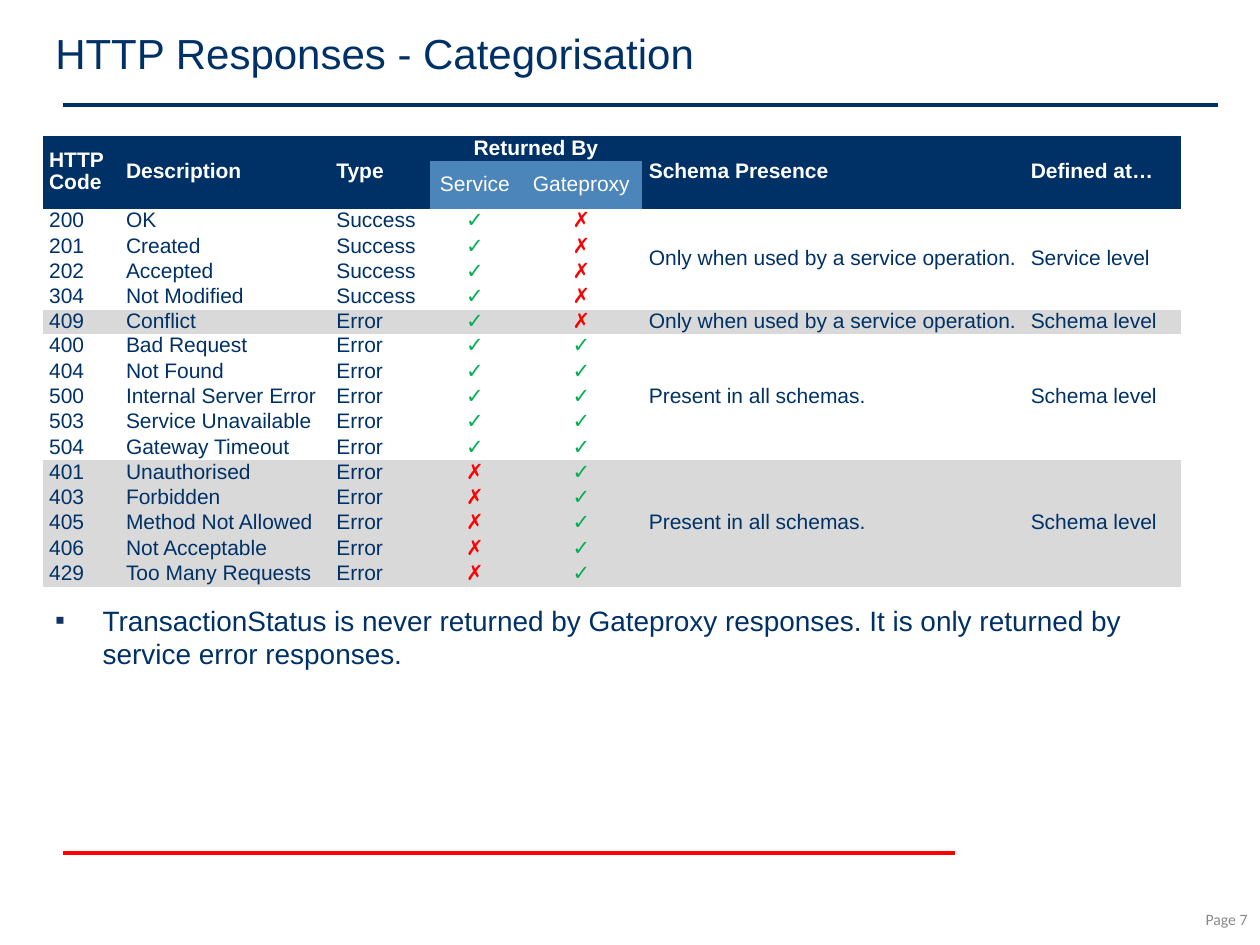
from dataclasses import dataclass

from pptx import Presentation
from pptx.dml.color import RGBColor
from pptx.enum.shapes import MSO_CONNECTOR
from pptx.enum.text import MSO_ANCHOR, PP_ALIGN
from pptx.oxml.ns import qn
from pptx.util import Cm, Pt
from lxml import etree

LEFT, CENTER, RIGHT = PP_ALIGN.LEFT, PP_ALIGN.CENTER, PP_ALIGN.RIGHT
TOP, MIDDLE = MSO_ANCHOR.TOP, MSO_ANCHOR.MIDDLE
STRAIGHT = MSO_CONNECTOR.STRAIGHT
TITLE_ONLY = 5
PLAIN_TABLE_STYLE = "{2D5ABB26-0587-4C30-8999-92F81FD0307C}"
YES, NO = "✓", "✗"


@dataclass(frozen=True)
class Theme:
    font: str = "Arial"
    footer_font: str = "Calibri"
    navy: str = "003166"
    blue: str = "4C85B9"
    white: str = "FFFFFF"
    grey: str = "D9D9D9"
    footer_grey: str = "898989"
    rule_red: str = "FE0000"
    yes_green: str = "00B050"
    no_red: str = "FF0000"
    bullet: str = "113362"
    title_size: float = 24
    body_size: float = 16
    table_size: float = 12
    footer_size: float = 9
    rule_width: float = 2.25
    table_line_spacing: float = 0.94


# Each group: fill, returned by service, returned by gateway, kind, presence, level, responses
SUCCESS, ERROR = "Success", "Error"
WHEN_USED = "Only when used by a service operation."
ALWAYS = "Present in all schemas."
GROUPS = [
    ("white", YES, NO, SUCCESS, WHEN_USED, "Service level",
     [("200", "OK"), ("201", "Created"), ("202", "Accepted"), ("304", "Not Modified")]),
    ("grey", YES, NO, ERROR, WHEN_USED, "Schema level", [("409", "Conflict")]),
    ("white", YES, YES, ERROR, ALWAYS, "Schema level",
     [("400", "Bad Request"), ("404", "Not Found"), ("500", "Internal Server Error"),
      ("503", "Service Unavailable"), ("504", "Gateway Timeout")]),
    ("grey", NO, YES, ERROR, ALWAYS, "Schema level",
     [("401", "Unauthorised"), ("403", "Forbidden"), ("405", "Method Not Allowed"),
      ("406", "Not Acceptable"), ("429", "Too Many Requests")]),
]
HEADINGS = ["HTTP Code", "Description", "Type", "Returned By", "",
            "Schema Presence", "Defined at…"]
RETURNERS = {3: "Service", 4: "Gateproxy"}
COLUMN_WIDTHS = [1.55, 4.24, 2.01, 1.83, 2.46, 7.7, 3.15]
ROW_HEIGHT, SINGLE_ROW_HEIGHT = 0.51, 0.41
HEADER_ROWS = 2


class SlideBuilder:
    def __init__(self, slide, theme):
        self.slide = slide
        self.theme = theme

    def format_paragraph(self, paragraph, size, color, align=LEFT, bold=False, font=None):
        paragraph.alignment = align
        paragraph.font.name = font or self.theme.font
        paragraph.font.size = Pt(size)
        paragraph.font.bold = bold
        paragraph.font.color.rgb = RGBColor.from_string(color)

    def title(self, text, left, top, width, height):
        title = self.slide.shapes.title
        title.left, title.top, title.width, title.height = map(Cm, (left, top, width, height))
        title.text_frame.text = text
        title.text_frame.vertical_anchor = TOP
        self.format_paragraph(title.text_frame.paragraphs[0],
                              self.theme.title_size, self.theme.navy)

    def rule(self, left, right, y, color):
        line = self.slide.shapes.add_connector(STRAIGHT, Cm(left), Cm(y), Cm(right), Cm(y))
        line.line.color.rgb = RGBColor.from_string(color)
        line.line.width = Pt(self.theme.rule_width)
        etree.SubElement(line._element.spPr, qn("a:effectLst"))

    def text_box(self, text, left, top, width, height, anchor=TOP):
        """Add a wrapping text box and return its only paragraph."""
        frame = self.slide.shapes.add_textbox(*map(Cm, (left, top, width, height))).text_frame
        frame.word_wrap = True
        frame.vertical_anchor = anchor
        frame.text = text
        return frame.paragraphs[0]

    def page_number(self, text, *box):
        paragraph = self.text_box(text, *box, anchor=MIDDLE)
        self.format_paragraph(paragraph, self.theme.footer_size, self.theme.footer_grey,
                              RIGHT, font=self.theme.footer_font)

    def bullet(self, text, *box):
        paragraph = self.text_box(text, *box)
        self.format_paragraph(paragraph, self.theme.body_size, self.theme.navy)
        paragraph.space_before = Pt(0.2 * self.theme.body_size)
        properties = paragraph._p.get_or_add_pPr()
        properties.set("marL", str(Cm(0.96)))
        properties.set("indent", str(-Cm(0.96)))
        color = etree.Element(qn("a:buClr"))
        etree.SubElement(color, qn("a:srgbClr"), val=self.theme.bullet)
        font = etree.Element(qn("a:buFont"), typeface=self.theme.font)
        mark = etree.Element(qn("a:buChar"), char="▪")
        defaults = properties.find(qn("a:defRPr"))
        for part in (color, font, mark):
            defaults.addprevious(part)

    def cell(self, cell, text, fill, color, align=LEFT, bold=False):
        cell.fill.solid()
        cell.fill.fore_color.rgb = RGBColor.from_string(fill)
        cell.margin_left = cell.margin_right = Cm(0.13)
        cell.margin_top = cell.margin_bottom = 0
        cell.vertical_anchor = MIDDLE
        cell.text = text
        paragraph = cell.text_frame.paragraphs[0]
        paragraph.line_spacing = self.theme.table_line_spacing
        self.format_paragraph(paragraph, self.theme.table_size, color, align, bold)

    def response_table(self, left, top):
        theme = self.theme
        row_count = HEADER_ROWS + sum(len(group[-1]) for group in GROUPS)
        table = self.slide.shapes.add_table(
            row_count, len(COLUMN_WIDTHS), Cm(left), Cm(top),
            Cm(sum(COLUMN_WIDTHS)), Cm(row_count * ROW_HEIGHT)).table
        table._tbl.tblPr.find(qn("a:tableStyleId")).text = PLAIN_TABLE_STYLE
        table.horz_banding = False
        for column, width in zip(table.columns, COLUMN_WIDTHS):
            column.width = Cm(width)
        for row in table.rows:
            row.height = Cm(ROW_HEIGHT)

        for column, heading in enumerate(HEADINGS):
            align = CENTER if column in RETURNERS else LEFT
            self.cell(table.cell(0, column), heading, theme.navy, theme.white, align, bold=True)
            returner = RETURNERS.get(column, "")
            self.cell(table.cell(1, column), returner,
                      theme.blue if returner else theme.navy, theme.white, align)
            if not returner:
                table.cell(0, column).merge(table.cell(1, column))
        table.cell(0, min(RETURNERS)).merge(table.cell(0, max(RETURNERS)))

        mark_colors = {YES: theme.yes_green, NO: theme.no_red}
        first = HEADER_ROWS
        for fill_name, service, gateway, kind, presence, level, responses in GROUPS:
            fill = getattr(theme, fill_name)
            last = first + len(responses) - 1
            for row, (code, description) in enumerate(responses, first):
                shared = (presence, level) if row == first else ("", "")
                values = (code, description, kind, service, gateway, *shared)
                for column, value in enumerate(values):
                    self.cell(table.cell(row, column), value, fill,
                              mark_colors.get(value, theme.navy),
                              CENTER if column in RETURNERS else LEFT)
            if first == last:
                table.rows[first].height = Cm(SINGLE_ROW_HEIGHT)
            else:
                for column in (5, 6):
                    table.cell(first, column).merge(table.cell(last, column))
            first = last + 1


def main():
    presentation = Presentation()
    presentation.slide_width, presentation.slide_height = Cm(25.4), Cm(19.05)
    slide = presentation.slides.add_slide(presentation.slide_layouts[TITLE_ONLY])
    theme = Theme()
    builder = SlideBuilder(slide, theme)
    builder.rule(1.27, 19.25, 17.2, theme.rule_red)
    builder.rule(1.27, 24.56, 2.11, theme.navy)
    builder.page_number("Page 7", 19.69, 18.03, 5.71, 1.02)
    builder.title("HTTP Responses - Categorisation", 0.86, 0.43, 23.37, 2.31)
    builder.response_table(0.86, 2.74)
    builder.bullet("TransactionStatus is never returned by Gateproxy responses. "
                   "It is only returned by service error responses.",
                   0.86, 12.04, 23.37, 1.68)
    presentation.save("out.pptx")


if __name__ == "__main__":
    main()
